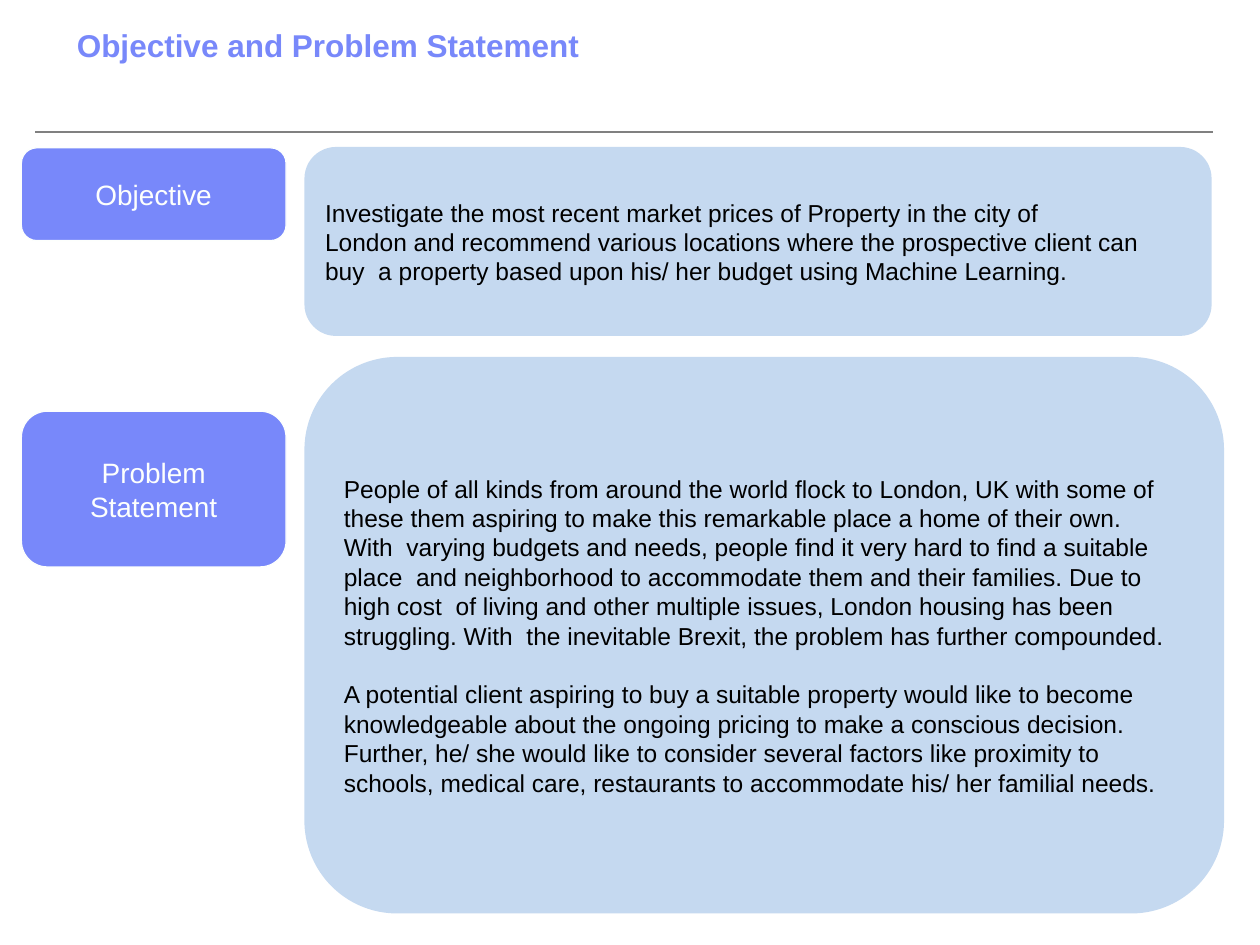
import pptx
import pptx.dml.color
import pptx.enum.shapes
import pptx.enum.text
import pptx.oxml.ns
import pptx.util
from lxml import etree

Pt = pptx.util.Pt
RGBColor = pptx.dml.color.RGBColor
SHAPE = pptx.enum.shapes.MSO_SHAPE
ALIGN = pptx.enum.text.PP_ALIGN
ANCHOR = pptx.enum.text.MSO_ANCHOR

VIOLET = RGBColor(0x78, 0x88, 0xFA)
PALE_BLUE = RGBColor(0xC5, 0xD9, 0xF0)
GREY = RGBColor(0x80, 0x80, 0x80)
OFF_WHITE = RGBColor(0xFD, 0xFF, 0xFD)
BLACK = RGBColor(0, 0, 0)

LABEL_LEFT, LABEL_WIDTH = 12.25, 151.25
PANEL_LEFT = 174

OBJECTIVE = [
    "Investigate the most recent market prices of Property in the city of",
    "London and recommend various locations where the prospective client can "
    "buy  a property based upon his/ her budget using Machine Learning.",
]
PROBLEM = [
    "People of all kinds from around the world flock to London, UK with some of "
    "these them aspiring to make this remarkable place a home of their own. "
    "With  varying budgets and needs, people find it very hard to find a suitable "
    "place  and neighborhood to accommodate them and their families. Due to "
    "high cost  of living and other multiple issues, London housing has been "
    "struggling. With  the inevitable Brexit, the problem has further compounded.",
    "A potential client aspiring to buy a suitable property would like to become "
    "knowledgeable about the ongoing pricing to make a conscious decision. "
    "Further, he/ she would like to consider several factors like proximity to "
    "schools, medical care, restaurants to accommodate his/ her familial needs.",
]


class SlideBuilder:
    """Draws styled elements on one page; all lengths are in points."""

    font = "Arial"
    title_size, label_size, body_size = 18, 16, 14
    line_width = 0.72

    def __init__(self, page):
        self.page = page

    def style(self, para, size, color, bold=False):
        para.font.name = self.font
        para.font.size = Pt(size)
        para.font.bold = bold
        para.font.color.rgb = color

    def frame(self, shape, anchor, side=0, top=0):
        """Set wrapping, anchor and margins of the shape's text."""
        text = shape.text_frame
        text.word_wrap = True
        text.auto_size = pptx.enum.text.MSO_AUTO_SIZE.NONE
        text.vertical_anchor = anchor
        text.margin_left = text.margin_right = Pt(side)
        text.margin_top, text.margin_bottom = Pt(top), 0
        return text

    def title(self, words, left, top, width, height):
        box = self.page.shapes.title
        box.left, box.top, box.width, box.height = map(Pt, (left, top, width, height))
        text = self.frame(box, ANCHOR.TOP, top=2)
        text.text = words
        para = text.paragraphs[0]
        para.alignment = ALIGN.LEFT
        self.style(para, self.title_size, VIOLET, bold=True)

    def rule(self, left, top, width):
        line = self.page.shapes.add_connector(
            pptx.enum.shapes.MSO_CONNECTOR.STRAIGHT,
            Pt(left), Pt(top), Pt(left + width), Pt(top))
        line.line.color.rgb = GREY
        line.line.width = Pt(self.line_width)
        etree.SubElement(line.element.spPr, pptx.oxml.ns.qn("a:effectLst"))

    def panel(self, left, top, width, height, fill=PALE_BLUE):
        shape = self.page.shapes.add_shape(
            SHAPE.ROUNDED_RECTANGLE, *map(Pt, (left, top, width, height)))
        shape.shadow.inherit = False
        shape.fill.solid()
        shape.fill.fore_color.rgb = fill
        shape.line.fill.background()
        return shape

    def label(self, words, top, height):
        shape = self.panel(LABEL_LEFT, top, LABEL_WIDTH, height, VIOLET)
        shape.line.color.rgb = OFF_WHITE
        shape.line.width = Pt(self.line_width)
        text = self.frame(shape, ANCHOR.MIDDLE, side=34)
        text.text = words
        para = text.paragraphs[0]
        para.alignment = ALIGN.CENTER
        para.line_spacing = Pt(1.2 * self.label_size)
        self.style(para, self.label_size, OFF_WHITE)

    def body(self, paragraphs, left, top, width, height, gap=0):
        box = self.page.shapes.add_textbox(*map(Pt, (left, top, width, height)))
        text = self.frame(box, ANCHOR.TOP, top=1.3)
        text.text = "\n".join(paragraphs)
        for index, para in enumerate(text.paragraphs):
            para.line_spacing = Pt(1.2 * self.body_size)
            para.space_before = Pt(gap if index else 0)
            self.style(para, self.body_size, BLACK)


def main():
    deck = pptx.Presentation()
    deck.slide_width, deck.slide_height = Pt(720), Pt(540)
    builder = SlideBuilder(deck.slides.add_slide(deck.slide_layouts[5]))

    builder.rule(20.25, 75.5, 673)
    builder.title("Objective and Problem Statement", 43.9, 13, 300, 24)

    builder.label("Objective", 84.5, 53)
    builder.panel(PANEL_LEFT, 84, 518.4, 108)
    builder.body(OBJECTIVE, 185.75, 111.6, 486, 52.5)

    builder.label("Problem Statement", 235, 89)
    builder.panel(PANEL_LEFT, 204, 525.5, 318)
    builder.body(PROBLEM, 196.5, 269.3, 473, 204, gap=16.8)

    deck.save("out.pptx")


if __name__ == "__main__":
    main()
